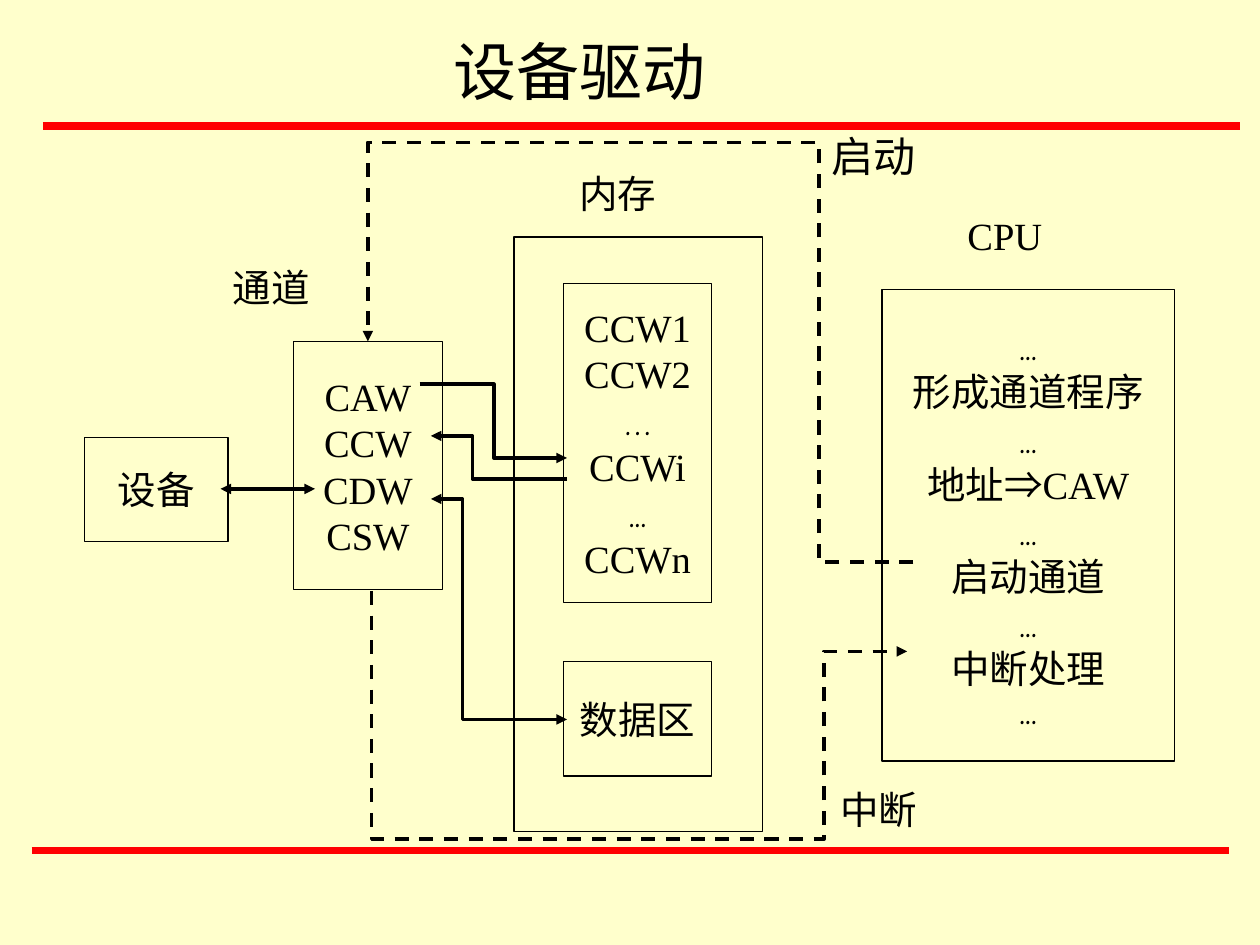
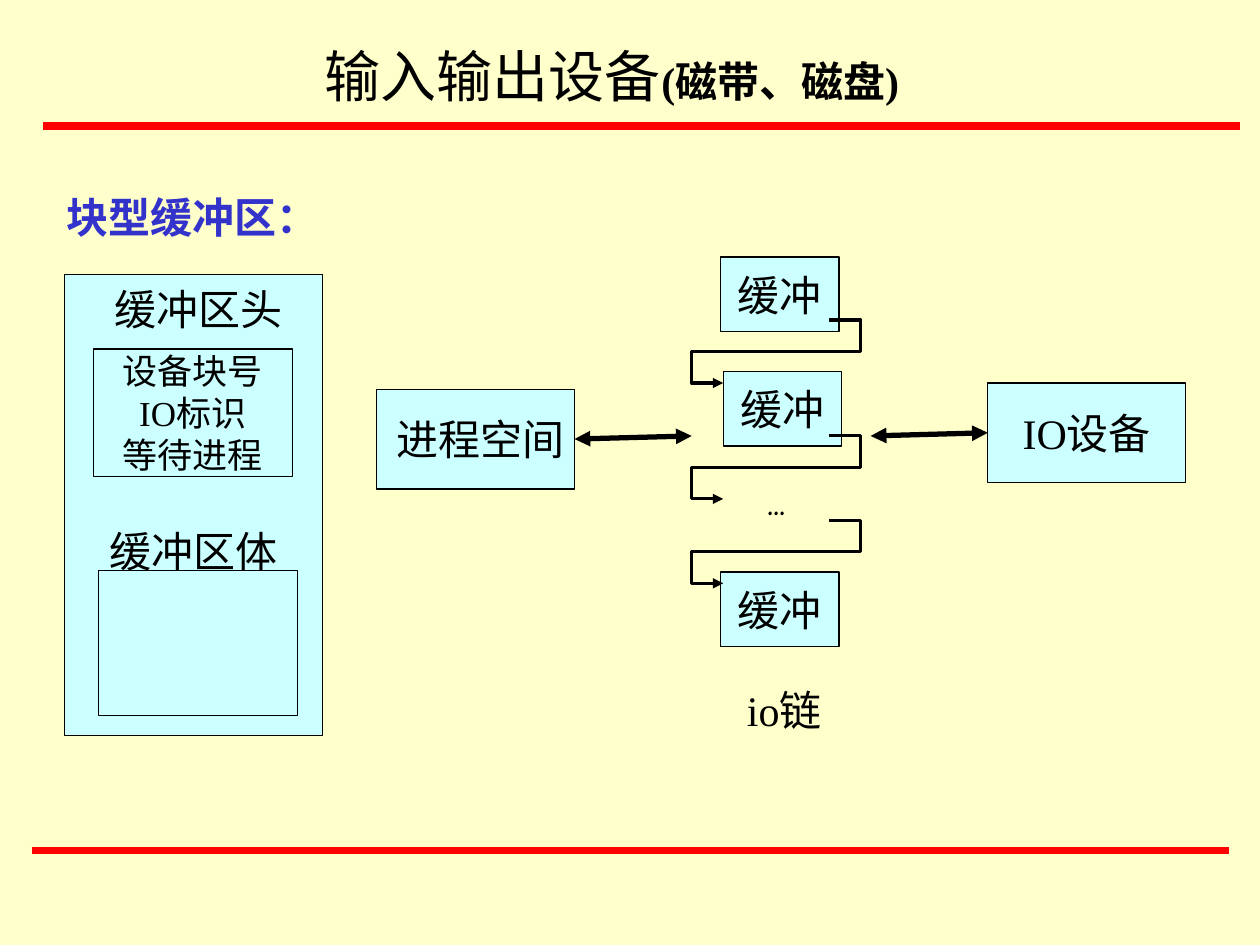
import collections

import pptx
import pptx.dml.color
import pptx.enum.dml
import pptx.enum.shapes
import pptx.enum.text
import pptx.oxml
import pptx.oxml.ns
import pptx.util

COLORS = {"paper": "FFFFCC", "rule": "FF0000", "ink": "000000",
          "heading": "3333CC", "buffer": "CCFFFF"}
BODY_FONT = "Times New Roman"
SYMBOL_FONTS = {"...": "Comic Neue", "…": "Comic Neue", "⇒": "Arial"}

# The slide is a grid of 100 columns and 75 rows
SLIDE_WIDTH, SLIDE_HEIGHT = pptx.util.Inches(10), pptx.util.Inches(7.5)
COLUMNS, ROWS = 100, 75
ROW_POINTS = 7.2
ALIGN = pptx.enum.text.PP_ALIGN
ANCHOR = pptx.enum.text.MSO_ANCHOR
DASH = pptx.enum.dml.MSO_LINE.DASH
BOTH_ENDS = ("headEnd", "tailEnd")

Box = collections.namedtuple("Box", "left top width height")
PAGE = Box(0, 0, COLUMNS, ROWS)


def inside(box, left, top, width, height):
    return Box(box.left + left, box.top + top, width, height)


def to_x(column):
    return round(SLIDE_WIDTH * column / COLUMNS)


def to_y(row):
    return round(SLIDE_HEIGHT * row / ROWS)


def to_emu(box):
    return to_x(box.left), to_y(box.top), to_x(box.width), to_y(box.height)


def rgb(name):
    return pptx.dml.color.RGBColor.from_string(COLORS[name])


def apply_format(target, values):
    for name, value in values.items():
        setattr(target, name, value)


# Text: each line is a string or a list of (text, font format) runs
def write_lines(text_frame, lines, size, align=ALIGN.LEFT, color="ink", bold=None, formats=None):
    for index, line in enumerate(lines):
        paragraph = text_frame.paragraphs[0] if index == 0 else text_frame.add_paragraph()
        apply_format(paragraph, {"alignment": align, **(formats or {}).get(index, {})})
        for text, changes in [(line, {})] if isinstance(line, str) else line:
            run = paragraph.add_run()
            run.text = text
            run.font.color.rgb = rgb(color)
            apply_format(run.font, {"name": SYMBOL_FONTS.get(text, BODY_FONT),
                                    "size": pptx.util.Pt(size), "bold": bold, **changes})


def add_label(slide, box, column, row, width, line, size=22, **text_format):
    height = (size * 1.2 + ROW_POINTS) / ROW_POINTS
    shape = slide.shapes.add_textbox(*to_emu(inside(box, column, row, width, height)))
    shape.text_frame.word_wrap = True
    write_lines(shape.text_frame, [line], size, **text_format)


def add_box(slide, box, lines=(), size=22, fill=None, formats=None, frame=None):
    shape = slide.shapes.add_shape(pptx.enum.shapes.MSO_SHAPE.RECTANGLE, *to_emu(box))
    shape.shadow.inherit = False
    if fill:
        shape.fill.solid()
        shape.fill.fore_color.rgb = rgb(fill)
    else:
        shape.fill.background()
    draw_outline(shape, 0.75)
    apply_format(shape.text_frame, {"word_wrap": False, "vertical_anchor": ANCHOR.MIDDLE,
                                    **(frame or {})})
    write_lines(shape.text_frame, lines, size, ALIGN.CENTER, formats=formats)
    return shape


# Lines and arrows
def draw_outline(shape, width, color="ink", dash=None, arrows=()):
    shape.line.color.rgb = rgb(color)
    apply_format(shape.line, {"width": pptx.util.Pt(width), "dash_style": dash})
    line = shape._element.spPr.find(pptx.oxml.ns.qn("a:ln"))
    for end in arrows:
        line.append(pptx.oxml.parse_xml(
            f'<a:{end} {pptx.oxml.ns.nsdecls("a")} type="triangle"/>'))


def add_line(slide, start, end, width, **line_format):
    connector = slide.shapes.add_connector(
        pptx.enum.shapes.MSO_CONNECTOR.STRAIGHT,
        to_x(start[0]), to_y(start[1]), to_x(end[0]), to_y(end[1]))
    draw_outline(connector, width, **line_format)
    connector._element.spPr.append(
        pptx.oxml.parse_xml(f'<a:effectLst {pptx.oxml.ns.nsdecls("a")}/>'))
    return connector


def add_route(slide, box, points, width=2, arrows=("tailEnd",), dash=None):
    corners = [(to_x(box.left + x), to_y(box.top + y)) for x, y in points]
    builder = slide.shapes.build_freeform(*corners[0])
    builder.add_line_segments(corners[1:], close=False)
    route = builder.convert_to_shape()
    route.shadow.inherit = False
    route.fill.background()
    draw_outline(route, width, dash=dash, arrows=arrows)


# Shared frame: two red rules and the title
def add_framed_slide(presentation, title, title_box, title_size):
    slide = presentation.slides.add_slide(presentation.slide_layouts[6])
    for left, row in ((2.5, 67.5), (3.4, 10)):
        add_line(slide, (left, row), (left + 95, row), 4.5, color="rule")
    add_label(slide, PAGE, *title_box, title, title_size)
    return slide


# Device driver slide
def draw_channel(slide, box):
    add_box(slide, box, ["CAW", "CCW", "CDW", "CSW"])
    add_label(slide, box, -5.8, -6.6, 10, "通道")


def draw_memory(slide, box):
    add_box(slide, box)
    add_box(slide, inside(box, 3.9, 3.7, 11.8, 25.3),
            ["CCW1", "CCW2", "…", "CCWi", "...", "CCWn"])
    add_box(slide, inside(box, 3.9, 33.7, 11.8, 9.1), ["数据区"])
    add_label(slide, box, 4.2, -5.8, 9.2, "内存")


def draw_cpu(slide, box):
    address_line = [(part, {}) for part in ("地址", "⇒", "CAW")]
    lines = ["..."]
    for step in ("形成通道程序", address_line, "启动通道", "中断处理"):
        lines += [step, "..."]
    add_box(slide, box, lines, formats={0: {"line_spacing": 1.1},
                                        len(lines) - 1: {"line_spacing": 0.9}})
    add_label(slide, box, 5.8, -6.7, 10.8, "CPU")


def draw_channel_transfers(slide, box):
    """Solid routes between the channel words and memory."""
    add_route(slide, box, [(0, 0), (5.9, 0), (5.9, 5.85), (11.7, 5.85)])
    add_route(slide, box, [(11.7, 7.5), (4.2, 7.5), (4.2, 4.1), (0.9, 4.1)])
    add_route(slide, box, [(0.9, 9.1), (3.4, 9.1), (3.4, 26.6), (11.7, 26.6)],
              arrows=BOTH_ENDS)


def draw_cpu_signals(slide, box):
    """Dashed start and interrupt routes between CPU and channel."""
    add_route(slide, box, [(43.3, 33.3), (35.8, 33.3), (35.8, 0), (0, 0), (0, 15.8)],
              dash=DASH)
    add_route(slide, box, [(0.3, 35.6), (0.3, 55.3), (36.2, 55.3), (36.2, 40.4),
                           (42.8, 40.4)], dash=DASH)
    add_label(slide, box, 35.8, -1.4, 10.8, "启动", 24)
    add_label(slide, box, 36.5, 50.6, 10.8, "中断")


def build_device_driver(presentation):
    slide = add_framed_slide(presentation, "设备驱动", (35, 2.1, 44.1), 36)
    add_box(slide, inside(PAGE, 6.7, 34.7, 11.4, 8.3), ["设备"])
    draw_channel(slide, inside(PAGE, 23.3, 27.1, 11.8, 19.7))
    draw_memory(slide, inside(PAGE, 40.8, 18.8, 19.7, 47.2))
    draw_cpu(slide, inside(PAGE, 70, 23, 23.2, 37.4))
    add_line(slide, (17.5, 38.8), (25, 38.8), 2, arrows=BOTH_ENDS)
    draw_channel_transfers(slide, inside(PAGE, 33.3, 30.5, 11.7, 26.6))
    draw_cpu_signals(slide, inside(PAGE, 29.2, 11.3, 43.3, 55.3))


# Block buffer slide
def draw_buffer_structure(slide, box):
    add_box(slide, box, [" 缓冲区头", "缓冲区体"], 24, "buffer",
            formats={1: {"line_spacing": 0.8, "space_before": pptx.util.Pt(115)}},
            frame={"vertical_anchor": ANCHOR.TOP, "margin_top": pptx.util.Inches(0.07)})
    add_box(slide, inside(box, 2.3, 5.9, 15.8, 10.1),
            ["设备块号", "IO标识", "等待进程"], 20, "buffer")
    add_box(slide, inside(box, 2.7, 23.5, 15.8, 11.5), fill="buffer")
    add_label(slide, box, -0.8, -7.1, 22.5, "块型缓冲区：", 24, color="heading", bold=True)


def draw_io_chain(slide, box):
    for column, row in ((2.3, 0), (2.5, 9.1), (2.3, 25)):
        add_box(slide, inside(box, column, row, 9.4, 5.9), ["缓冲"], 24, "buffer")
    for row in (5, 14.2, 20.9):
        add_route(slide, inside(box, 0, row, 13.4, 5),
                  [(10.9, 0), (13.4, 0), (13.4, 2.5), (0, 2.5), (0, 5), (2.5, 5)], 1.75)
    add_label(slide, box, 5, 16.7, 5.8, "...", 24)
    add_label(slide, box, 3.4, 33.4, 10, "io链", 24)


def draw_chain_users(slide, box):
    """Process space on the left and IO device on the right of the chain."""
    process = add_box(slide, inside(box, 0, 0.5, 15.7, 7.9), [" 进程空间"], 24, "buffer")
    device = add_box(slide, inside(box, 48.5, 0, 15.7, 7.9), ["IO设备"], 24, "buffer")
    row = box.top + 4.2
    process_arrow = add_line(slide, (box.left + 15.7, row), (box.left + 25, row), 3,
                             arrows=BOTH_ENDS)
    process_arrow.begin_connect(process, 3)
    device_arrow = add_line(slide, (box.left + 39.2, row), (box.left + 48.5, row), 3,
                            arrows=BOTH_ENDS)
    device_arrow.end_connect(device, 1)


def build_block_buffers(presentation):
    title = [("输入输出设备", {}), ("(磁带、磁盘)", {"size": pptx.util.Pt(24), "bold": True})]
    slide = add_framed_slide(presentation, title, (24.8, 2.8, 69.3), 32)
    draw_buffer_structure(slide, inside(PAGE, 5.1, 21.8, 20.5, 36.6))
    draw_chain_users(slide, inside(PAGE, 29.9, 30.4, 64.2, 8.4))
    draw_io_chain(slide, inside(PAGE, 54.9, 20.4, 13.4, 38.4))


def main():
    presentation = pptx.Presentation()
    apply_format(presentation, {"slide_width": SLIDE_WIDTH, "slide_height": SLIDE_HEIGHT})
    background = presentation.slide_master.background.fill
    background.solid()
    background.fore_color.rgb = rgb("paper")
    build_device_driver(presentation)
    build_block_buffers(presentation)
    presentation.save("out.pptx")


if __name__ == "__main__":
    main()
